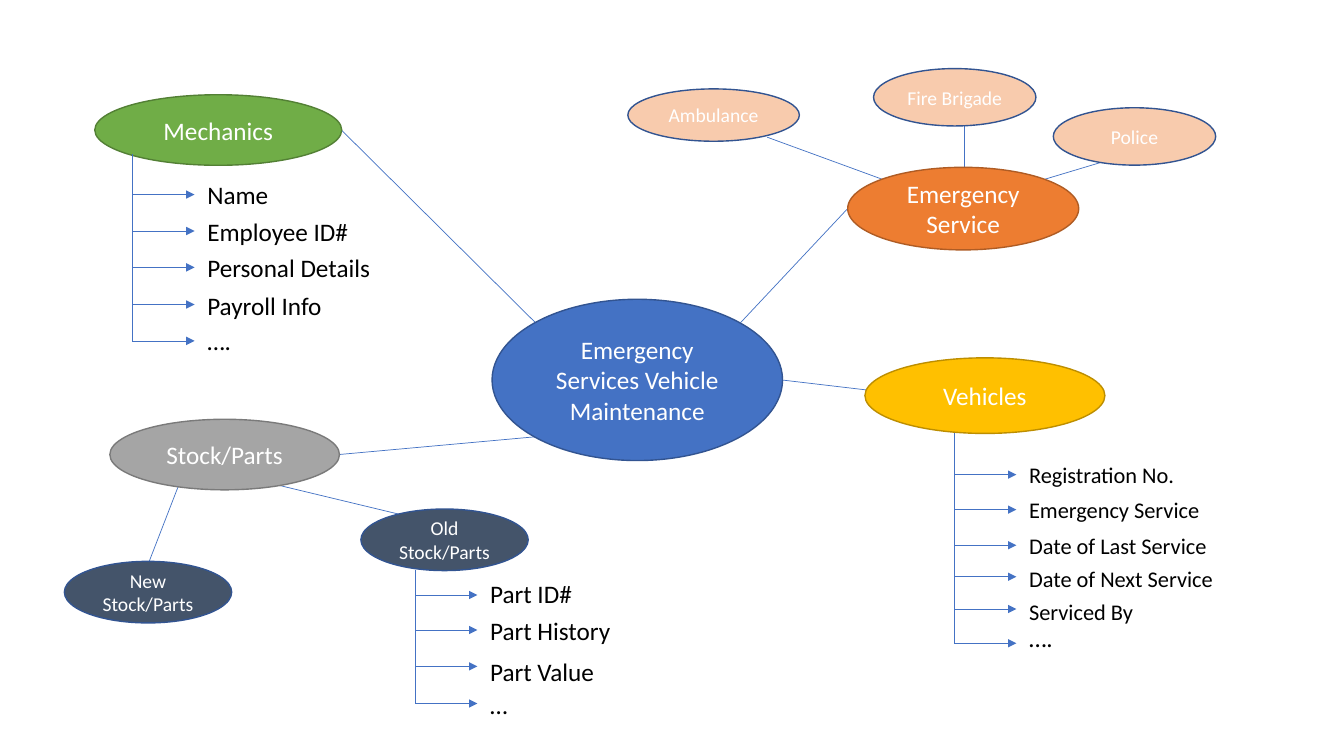
from dataclasses import dataclass

from lxml.etree import SubElement
from pptx import Presentation
from pptx.dml.color import RGBColor
from pptx.enum.shapes import MSO_CONNECTOR as Connector, MSO_SHAPE as Preset
from pptx.enum.text import MSO_ANCHOR as Anchor, PP_ALIGN as Align
from pptx.oxml.ns import qn
from pptx.util import Pt


@dataclass(frozen=True)
class Theme:
    font: str = "Calibri"
    large: float = 18
    medium: float = 16
    small: float = 14
    white: str = "FFFFFF"
    black: str = "000000"
    blue: str = "4472C4"
    blue_edge: str = "325491"
    orange: str = "ED7D31"
    orange_edge: str = "AF5C24"
    peach: str = "F8CBAD"
    gold: str = "FFC000"
    gold_edge: str = "BD8E00"
    green: str = "70AD47"
    green_edge: str = "538035"
    gray: str = "A5A5A5"
    gray_edge: str = "7A7A7A"
    slate: str = "44546A"
    link_width: float = 0.5
    edge_width: float = 1


THEME = Theme()
ARROW_LENGTH = 44.5
LABEL_OFFSET = 46.5
LABEL_WIDTH, LABEL_HEIGHT = 160, 28.8

# Topics: text, left, top, width, height, fill, edge, type size
TOPICS = [
    ("Emergency Services Vehicle Maintenance", 351.5, 213.8, 207.5, 115.2,
     THEME.blue, THEME.blue_edge, THEME.large),
    ("Emergency Service", 605.5, 119.5, 165, 59,
     THEME.orange, THEME.orange_edge, THEME.large),
    ("Ambulance", 448.5, 63.5, 122.5, 37.4,
     THEME.peach, THEME.blue_edge, THEME.small),
    ("Fire Brigade", 624, 49, 116, 41,
     THEME.peach, THEME.blue_edge, THEME.small),
    ("Police", 752.4, 77, 116, 41,
     THEME.peach, THEME.blue_edge, THEME.small),
    ("Vehicles", 617.8, 255.6, 171.4, 54,
     THEME.gold, THEME.gold_edge, THEME.large),
    ("Mechanics", 67.7, 67.7, 176.4, 50.4,
     THEME.green, THEME.green_edge, THEME.large),
    ("Stock/Parts", 78.5, 299.5, 164, 50.4,
     THEME.gray, THEME.gray_edge, THEME.large),
    ("New Stock/Parts", 46, 401, 119.5, 44,
     THEME.slate, THEME.blue_edge, THEME.small),
    ("Old Stock/Parts", 257.8, 363.6, 119.5, 44,
     THEME.slate, THEME.blue_edge, THEME.small),
]

# Links between topics: start and end points
LINKS = [
    ((529, 230.5), (605.5, 149)),      # hub - emergency service
    ((559, 271.5), (652.5, 282.5)),    # hub - vehicles
    ((382.5, 230.5), (244, 93)),       # hub - mechanics
    ((382.5, 312), (242, 324.7)),      # hub - stock
    ((630, 128), (548, 98)),           # emergency service - ambulance
    ((688.5, 119.5), (688.5, 82)),     # emergency service - fire brigade
    ((746.5, 128), (796.5, 113)),      # emergency service - police
    ((127.5, 347), (106, 402.5)),      # stock - new
    ((198.5, 346.5), (288, 368)),      # stock - old
]

# Detail lists: spine x, spine top, type size, rows of text, arrow y, text shift
DETAILS = [
    (94.5, 110, THEME.medium + 2, [
        ("Name", 139, 0), ("Employee ID#", 165, 0),
        ("Personal Details", 191, 0), ("Payroll Info", 217.5, 0.5),
        ("….", 243.5, 0)]),
    (681.5, 309, THEME.medium, [
        ("Registration No.", 339, 0), ("Emergency Service", 364, 0),
        ("Date of Last Service", 389.5, 0.5),
        ("Date of Next Service", 412, 1.5),
        ("Serviced By", 435, 1.5), ("….", 459.5, -4)]),
    (296.5, 407.5, THEME.large, [
        ("Part ID#", 425, -1), ("Part History", 450, 0),
        ("Part Value", 476, 3.5), ("…", 502.5, 0.5)]),
]


def rgb(color):
    return RGBColor.from_string(color)


def write_text(holder, text, size=THEME.large, color=THEME.black,
               align=Align.LEFT):
    frame = holder.text_frame
    frame.word_wrap = True
    frame.vertical_anchor = Anchor.MIDDLE
    paragraph = frame.paragraphs[0]
    paragraph.alignment = align
    run = paragraph.add_run()
    run.text = text
    run.font.name = THEME.font
    run.font.size = Pt(size)
    run.font.color.rgb = rgb(color)


def add_topic(slide, text, left, top, width, height, fill, edge, size):
    topic = slide.shapes.add_shape(
        Preset.OVAL, Pt(left), Pt(top), Pt(width), Pt(height))
    topic.shadow.inherit = False
    topic.fill.solid()
    topic.fill.fore_color.rgb = rgb(fill)
    topic.line.color.rgb = rgb(edge)
    topic.line.width = Pt(THEME.edge_width)
    write_text(topic, text, size=size, color=THEME.white, align=Align.CENTER)


def add_link(slide, start, end, arrow=False):
    link = slide.shapes.add_connector(
        Connector.STRAIGHT, *(Pt(value) for value in (*start, *end)))
    link.line.color.rgb = rgb(THEME.blue)
    link.line.width = Pt(THEME.link_width)
    properties = link._element.spPr
    if arrow:
        SubElement(properties.find(qn("a:ln")), qn("a:tailEnd"),
                   type="triangle")
    SubElement(properties, qn("a:effectLst"))


def add_details(slide, x, top, size, rows):
    # Spine down to the last row
    add_link(slide, (x, top), (x, rows[-1][1]))
    # An arrow and a label for each row
    for text, y, shift in rows:
        add_link(slide, (x, y), (x + ARROW_LENGTH, y), arrow=True)
        label = slide.shapes.add_textbox(
            Pt(x + LABEL_OFFSET), Pt(y + shift - LABEL_HEIGHT / 2),
            Pt(LABEL_WIDTH), Pt(LABEL_HEIGHT))
        write_text(label, text, size=THEME.large if text == "…." else size)


def main():
    deck = Presentation()
    deck.slide_width, deck.slide_height = Pt(960), Pt(540)
    slide = deck.slides.add_slide(deck.slide_layouts[6])

    # Links lie behind the topics
    for start, end in LINKS:
        add_link(slide, start, end)
    for topic in TOPICS:
        add_topic(slide, *topic)
    for details in DETAILS:
        add_details(slide, *details)

    deck.save("out.pptx")


main()
